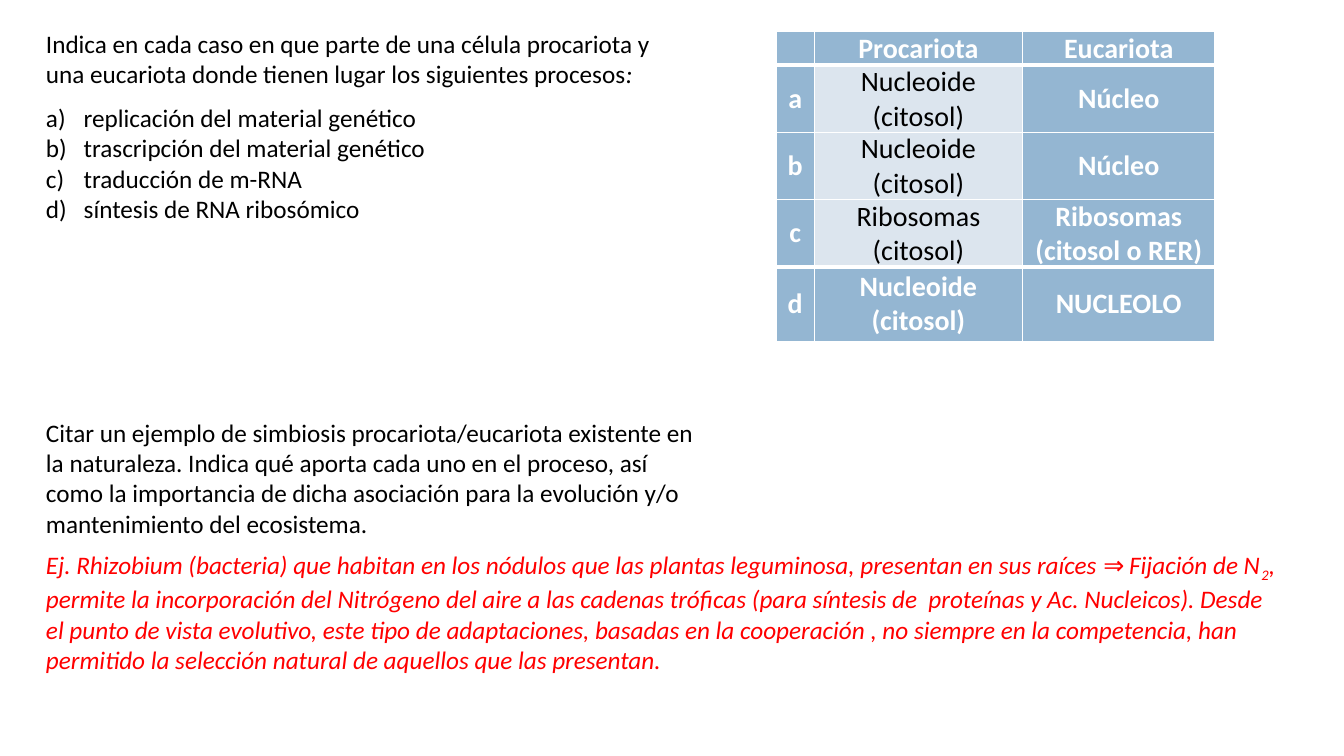
from lxml.etree import SubElement
from pptx import Presentation
from pptx.dml.color import RGBColor
from pptx.enum.text import MSO_ANCHOR, MSO_AUTO_SIZE, PP_ALIGN
from pptx.oxml.ns import qn
from pptx.util import Cm, Pt

COLORS = {"text": "000000", "answer": "FF0000", "white": "FFFFFF",
          "header": "94B6D2", "plain": "DCE5EE"}
LEFT = Cm(0.91)


def style(paragraph, size, color, bold=False, italic=False):
    font = paragraph.font
    font.name, font.size, font.bold, font.italic = "Calibri", Pt(size), bold, italic
    font.color.rgb = RGBColor.from_string(COLORS[color])


def add_text(top, width, height, paragraphs, color="text", italic=False, lettered=False):
    """Add a text box; each paragraph is a list of runs."""
    frame = slide.shapes.add_textbox(LEFT, top, width, height).text_frame
    frame.word_wrap = True
    frame.auto_size = MSO_AUTO_SIZE.SHAPE_TO_FIT_TEXT
    for i, runs in enumerate(paragraphs):
        paragraph = frame.add_paragraph() if i else frame.paragraphs[0]
        if lettered:
            props = paragraph._p.get_or_add_pPr()
            props.set("marL", str(Cm(0.95)))
            props.set("indent", str(-Cm(0.95)))
            SubElement(props, qn("a:buFont"), typeface="+mj-lt")
            SubElement(props, qn("a:buAutoNum"), type="alphaLcParenR")
            tabs = SubElement(props, qn("a:tabLst"))
            SubElement(tabs, qn("a:tab"), pos=str(Cm(1.14)), algn="l")
        for words in runs:
            paragraph.add_run().text = words
        style(paragraph, 18, color, italic=italic)
    return frame


prs = Presentation()
prs.slide_width, prs.slide_height = Cm(33.87), Cm(19.05)
slide = prs.slides.add_slide(prs.slide_layouts[6])

# First question and its list of processes
question = add_text(Cm(0.58), Cm(16.18), Cm(4.11), [[
    "Indica en cada caso en que parte de una célula procariota y una eucariota "
    "donde tienen lugar los siguientes procesos", ":"]])
question.paragraphs[0].runs[1].font.italic = True

add_text(Cm(2.46), Cm(16.94), Cm(3.33), [
    ["replicación del material genético"],
    ["trascripción del material genético"],
    ["traducción de m-RNA"],
    ["síntesis de RNA ribosómico"]], lettered=True)

# Table of answers
answers = [
    ["", "Procariota", "Eucariota"],
    ["a", "Nucleoide (citosol)", "Núcleo"],
    ["b", "Nucleoide (citosol)", "Núcleo"],
    ["c", "Ribosomas (citosol)", "Ribosomas (citosol o RER)"],
    ["d", "Nucleoide (citosol)", "NUCLEOLO"]]
column_widths = [0.96, 5.25, 4.85]
row_heights = [0.76, 1.53, 1.53, 1.54, 1.88]
thick_edges = (1, 4)  # below the header and above the last row

table = slide.shapes.add_table(
    len(answers), len(column_widths), Cm(19.56), Cm(0.79),
    Cm(sum(column_widths)), Cm(sum(row_heights))).table
for column, width in zip(table.columns, column_widths):
    column.width = Cm(width)
for r, (row, height) in enumerate(zip(answers, row_heights)):
    table.rows[r].height = Cm(height)
    for c, words in enumerate(row):
        cell = table.cell(r, c)
        plain = c == 1 and 1 <= r <= 3
        cell.margin_left = cell.margin_right = Cm(0.18)
        cell.margin_top = cell.margin_bottom = 0
        cell.vertical_anchor = MSO_ANCHOR.MIDDLE

        # Borders come before the fill
        widths = {"L": 1, "R": 1, "T": 3 if r in thick_edges else 1,
                  "B": 3 if r + 1 in thick_edges else 1}
        for side, points in widths.items():
            line = SubElement(cell._tc.get_or_add_tcPr(), qn(f"a:ln{side}"), w=str(Pt(points)))
            line_fill = SubElement(line, qn("a:solidFill"))
            SubElement(line_fill, qn("a:srgbClr"), val=COLORS["white"])
        cell.fill.solid()
        cell.fill.fore_color.rgb = RGBColor.from_string(COLORS["plain" if plain else "header"])

        paragraph = cell.text_frame.paragraphs[0]
        paragraph.alignment = PP_ALIGN.CENTER
        if words:
            paragraph.add_run().text = words
        else:
            SubElement(paragraph._p, qn("a:endParaRPr"), sz="2000")
        style(paragraph, 20, "text" if plain else "white", bold=not plain)

# Second question and its answer
add_text(Cm(10.39), Cm(16.94), Cm(3.33), [[
    "Citar un ejemplo de simbiosis procariota/eucariota existente en la naturaleza. "
    "Indica qué aporta cada uno en el proceso, así como la importancia de dicha "
    "asociación para la evolución y/o mantenimiento del ecosistema."]])

symbiosis = add_text(Cm(13.72), Cm(31.6), Cm(3.33), [[
    "Ej. Rhizobium (bacteria) que habitan en los nódulos que las plantas leguminosa, "
    "presentan en sus raíces ⇒ Fijación de N",
    "2",
    ", permite la incorporación del Nitrógeno del aire a las cadenas tróficas (para "
    "síntesis de  proteínas y Ac. Nucleicos). Desde el punto de vista evolutivo, este "
    "tipo de adaptaciones, basadas en la cooperación , no siempre en la competencia, "
    "han permitido la selección natural de aquellos que las presentan."]],
    color="answer", italic=True)
symbiosis.paragraphs[0].runs[1]._r.get_or_add_rPr().set("baseline", "-25000")

prs.save("out.pptx")
